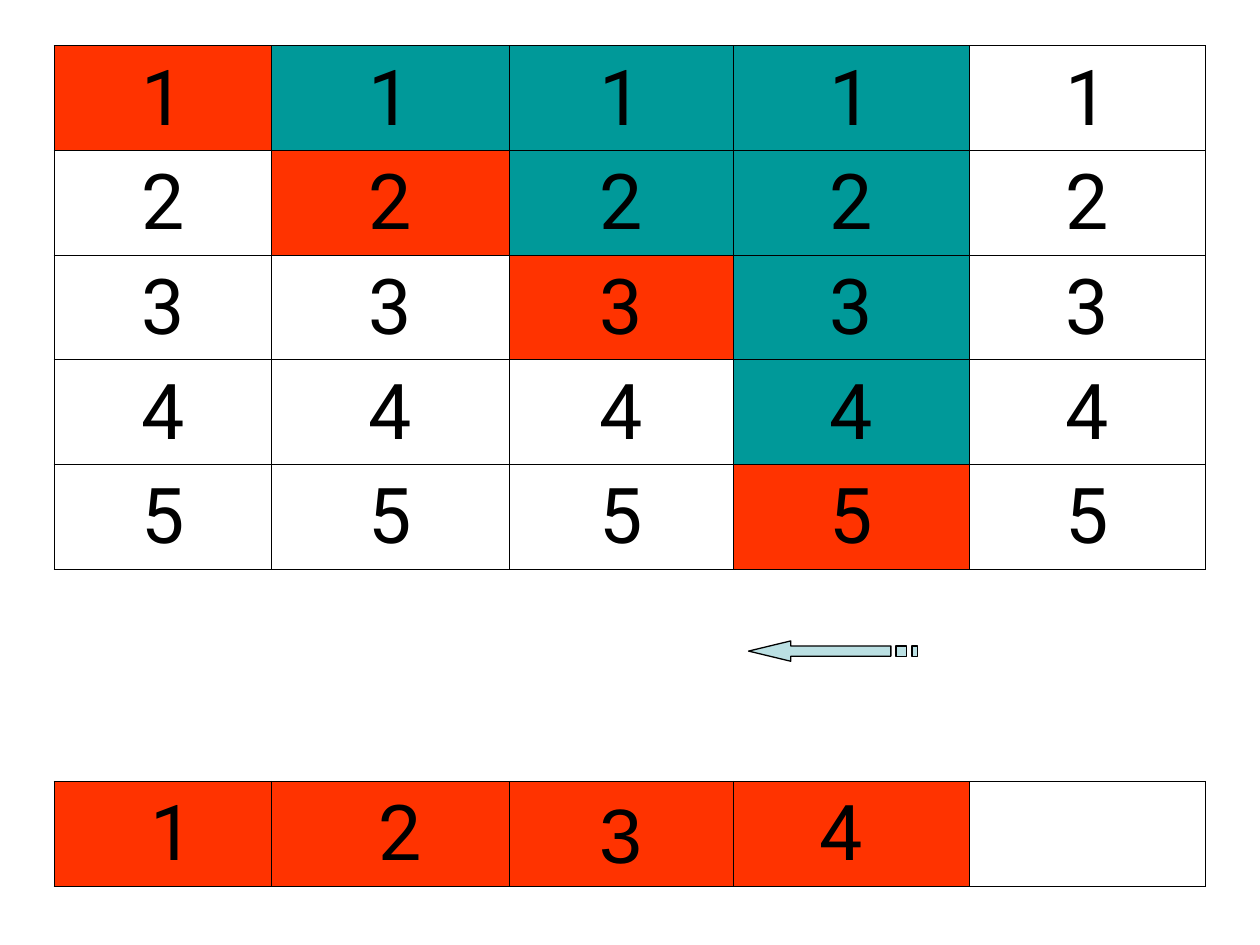
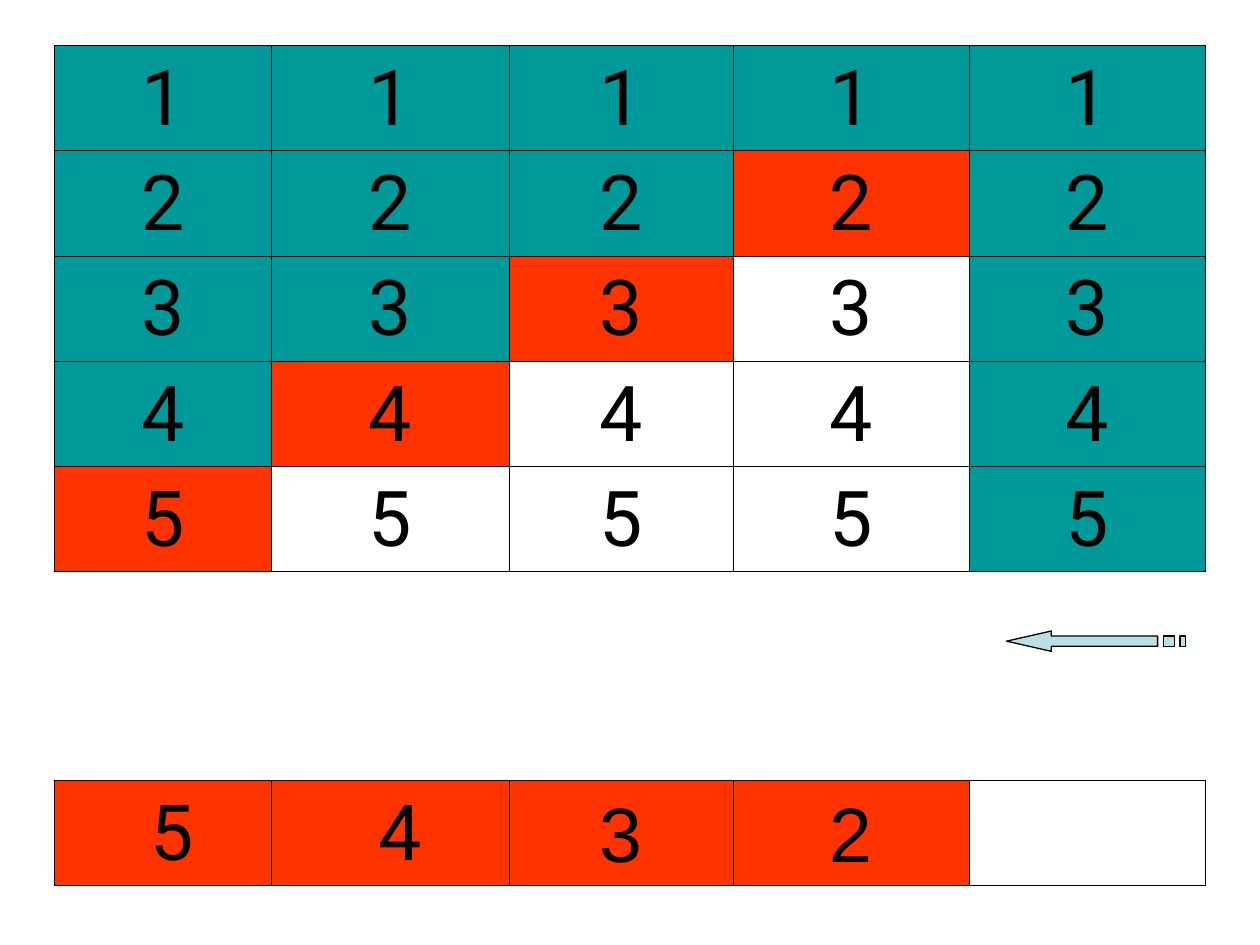
from lxml.etree import SubElement
from pptx import Presentation
from pptx.dml.color import RGBColor
from pptx.enum.text import MSO_ANCHOR as Anchor, PP_ALIGN as Align
from pptx.oxml.ns import qn
from pptx.util import Cm, Pt

BLACK = RGBColor(0x00, 0x00, 0x00)
WHITE = RGBColor(0xFF, 0xFF, 0xFF)
RED = RGBColor(0xFF, 0x33, 0x00)
TEAL = RGBColor(0x00, 0x99, 0x99)
PALE_BLUE = RGBColor(0xBB, 0xE0, 0xE3)
FILLS = {"R": RED, "T": TEAL, "W": WHITE}

NO_STYLE = "{2D5ABB26-0587-4C30-8999-92F81FD0307C}"
COLUMN_WIDTHS = [4.39, 4.78, 4.52, 4.76, 4.76]
GAP_ROW, RESULT_ROW = 5, 6

# Fills are one letter a cell; the last row of each table holds the result.
STEPS = [
    {
        "fills": ["RTTTW", "WRTTW", "WWRTW", "WWWTW", "WWWRW"],
        "result": [" 1", " 2", "3", "4 ", ""],
        "result_fonts": ["Roboto", "Roboto", "Arial", "Roboto", "Roboto"],
        "row_height": 2.11, "gap_height": 4.28,
        "arrow": (15.09, 12.92, 3.4, 0.41),
    },
    {
        "fills": ["TTTTT", "TTTRT", "TTRWT", "TRWWT", "RWWWT"],
        "result": [" 5", " 4", "3", "2", ""],
        "result_fonts": ["Roboto", "Roboto", "Arial", "Arial", "Roboto"],
        "row_height": 2.12, "gap_height": 4.21,
        "arrow": (20.29, 12.72, 3.61, 0.41),
    },
]

# Striped arrow pointing right, on a grid of 32 by 4 units.
ARROW_PARTS = [
    [(5, 1), (24, 1), (24, 0), (32, 2), (24, 4), (24, 3), (5, 3)],
    [(0, 1), (1, 1), (1, 3), (0, 3)],
    [(2, 1), (4, 1), (4, 3), (2, 3)],
]


def write_text(cell, text, font="Roboto", size=44, color=BLACK, align=Align.CENTER):
    cell.vertical_anchor = Anchor.BOTTOM
    para = cell.text_frame.paragraphs[0]
    para.alignment = align
    span = para.add_run()
    span.text = text
    span.font.name = font
    span.font.size = Pt(size)
    span.font.color.rgb = color


def draw_borders(cell, sides, color=BLACK, width=0.45):
    """Draw the named sides (L, R, T, B, in that order); call before filling."""
    properties = cell._tc.get_or_add_tcPr()
    for side in sides:
        line = SubElement(properties, qn(f"a:ln{side}"), w=str(Pt(width)))
        solid = SubElement(line, qn("a:solidFill"))
        SubElement(solid, qn("a:srgbClr"), val=str(color))


deck = Presentation()
deck.slide_width, deck.slide_height = Cm(25.4), Cm(19.05)

for step in STEPS:
    page = deck.slides.add_slide(deck.slide_layouts[6])

    heights = [step["row_height"]] * 7
    heights[GAP_ROW] = step["gap_height"]
    frame = page.shapes.add_table(
        7, 5, Cm(1.09), Cm(0.92), Cm(sum(COLUMN_WIDTHS)), Cm(sum(heights)))
    table = frame.table
    table.first_row = table.horz_banding = False
    table._tbl.tblPr.find(qn("a:tableStyleId")).text = NO_STYLE
    for column, width in zip(table.columns, COLUMN_WIDTHS):
        column.width = Cm(width)
    for row, height in zip(table.rows, heights):
        row.height = Cm(height)

    for cell in table.rows[GAP_ROW].cells:
        draw_borders(cell, "TB")
        cell.fill.background()

    for number, letters in enumerate(step["fills"], start=1):
        for cell, letter in zip(table.rows[number - 1].cells, letters):
            draw_borders(cell, "LRTB")
            cell.fill.solid()
            cell.fill.fore_color.rgb = FILLS[letter]
            write_text(cell, str(number))

    result_cells = table.rows[RESULT_ROW].cells
    for cell, text, font in zip(result_cells, step["result"], step["result_fonts"]):
        draw_borders(cell, "LRTB")
        cell.fill.solid()
        cell.fill.fore_color.rgb = RED if text else WHITE
        if text:
            write_text(cell, text, font=font)

    left, top, width, height = map(Cm, step["arrow"])
    builder = page.shapes.build_freeform(*ARROW_PARTS[0][0], scale=(width / 32, height / 4))
    builder.add_line_segments(ARROW_PARTS[0][1:], close=True)
    for part in ARROW_PARTS[1:]:
        builder.move_to(*part[0])
        builder.add_line_segments(part[1:], close=True)
    arrow = builder.convert_to_shape(left, top)
    arrow.rotation = 180
    arrow.shadow.inherit = False
    arrow.fill.solid()
    arrow.fill.fore_color.rgb = PALE_BLUE
    arrow.line.color.rgb = BLACK
    arrow.line.width = Pt(0.75)

deck.save("out.pptx")
